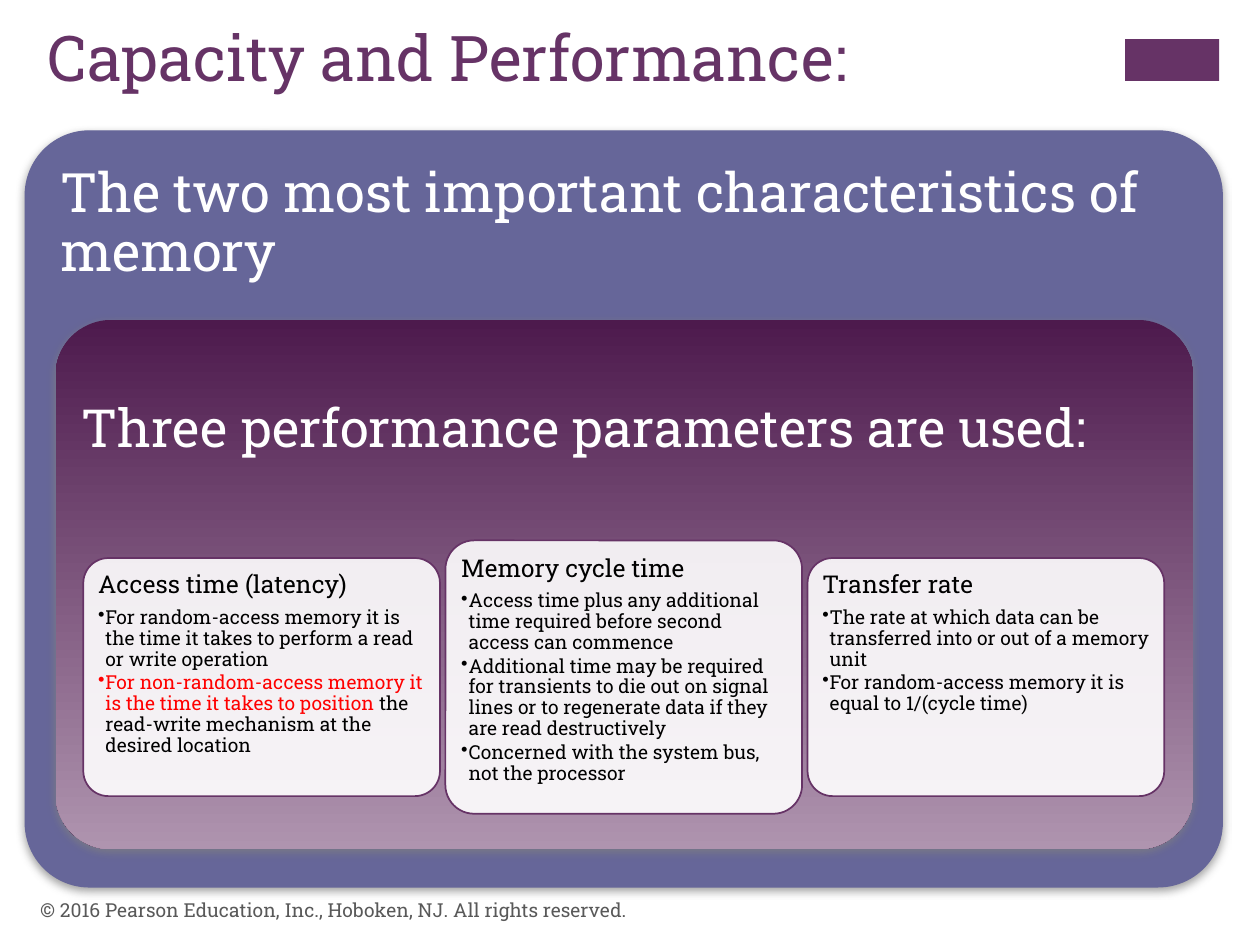
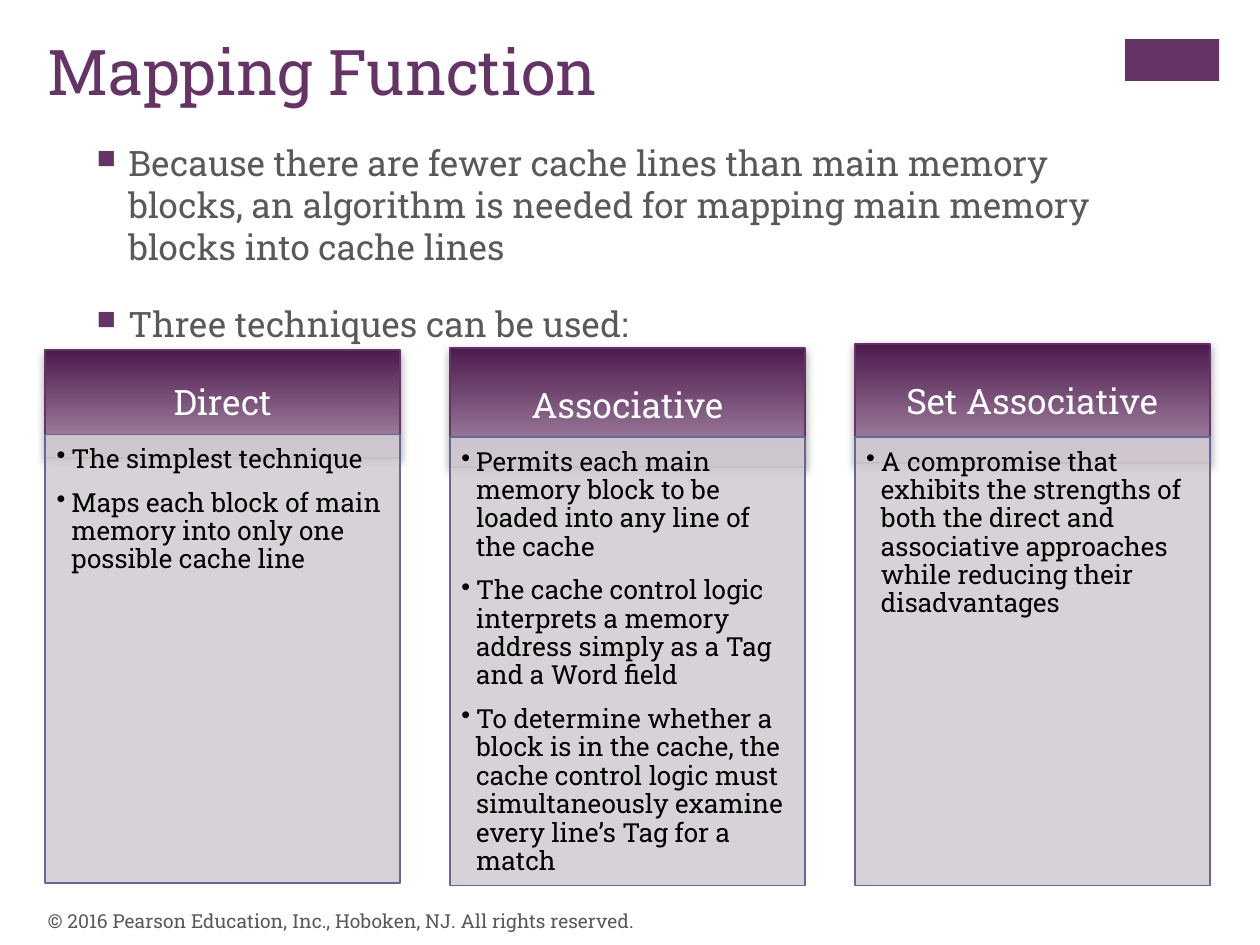
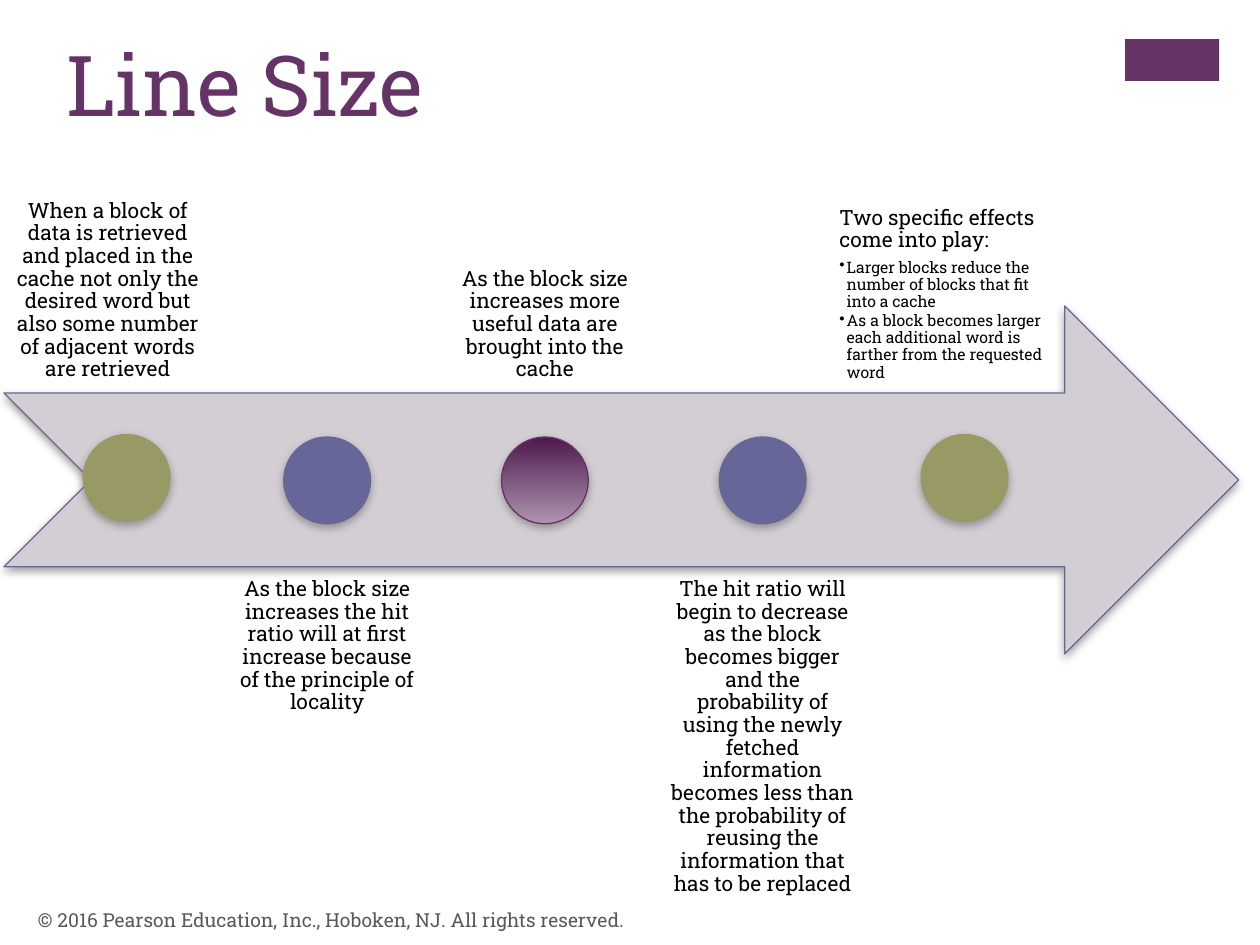
from lxml.etree import SubElement
from pptx import Presentation
from pptx.dml.color import RGBColor
from pptx.enum.shapes import MSO_SHAPE as SHAPE
from pptx.enum.text import MSO_ANCHOR as ANCHOR, PP_ALIGN as ALIGN
from pptx.oxml.ns import qn
from pptx.util import Cm, Pt

FONT = "Roboto Slab"
COLORS = {
    "plum": "663366", "dark": "4D1A4D", "mauve": "AF94AF", "slate": "666699",
    "olive": "999966", "mist": "D3CED3", "grey": "595959", "red": "FF0000",
    "white": "FFFFFF", "black": "000000",
}
GRADIENT = ("dark", "mauve")
COPYRIGHT = "© 2016 Pearson Education, Inc., Hoboken, NJ. All rights reserved."

CHARACTERISTICS = "The two most important characteristics of memory"
PARAMETERS = "Three performance parameters are used:"
CARDS = [
    ("Access time (latency)", 4.8, [
        "For random-access memory it is the time it takes to perform a read or write operation",
        [("For non-random-access memory it is the time it takes to position ", "red"),
         ("the read-write mechanism at the desired location", "black")],
    ]),
    ("Memory cycle time", 5.51, [
        "Access time plus any additional time required before second access can commence",
        "Additional time may be required for transients to die out on signal lines "
        "or to regenerate data if they are read destructively",
        "Concerned with the system bus, not the processor",
    ]),
    ("Transfer rate", 4.8, [
        "The rate at which data can be transferred into or out of a memory unit",
        "For random-access memory it is equal to 1/(cycle time)",
    ]),
]

MAPPING_POINTS = [
    "Because there are fewer cache lines than main memory blocks, an algorithm "
    "is needed for mapping main memory blocks into cache lines",
    "Three techniques can be used:",
]
TECHNIQUES = [
    ("Direct", 7.06, 2.18, 8.76, [
        "The simplest technique",
        "Maps each block of main memory into only one possible cache line",
    ]),
    ("Associative", 7.01, 2.41, 8.81, [
        "Permits each main memory block to be loaded into any line of the cache",
        "The cache control logic interprets a memory address simply as a Tag and a Word field",
        "To determine whether a block is in the cache, the cache control logic must "
        "simultaneously examine every line’s Tag for a match",
    ]),
    ("Set Associative", 6.93, 2.41, 8.81, [
        "A compromise that exhibits the strengths of both the direct and associative "
        "approaches while reducing their disadvantages",
    ]),
]

STEPS = [
    (0.08, 4.19, 1.68, 8.76, "olive",
     "When a block of data is retrieved and placed in the cache not only the desired "
     "word but also some number of adjacent words are retrieved", []),
    (4.5, 4.19, 5.72, 8.81, "slate",
     "As the block size increases the hit ratio will at first increase because of "
     "the principle of locality", []),
    (8.89, 4.19, 10.11, 8.81, GRADIENT,
     "As the block size increases more useful data are brought into the cache", []),
    (13.28, 4.19, 14.5, 8.81, "slate",
     "The hit ratio will begin to decrease as the block becomes bigger and the "
     "probability of using the newly fetched information becomes less than the "
     "probability of reusing the information that has to be replaced", []),
    (16.69, 4.8, 18.57, 8.76, "olive", "Two specific effects come into play:", [
        "Larger blocks reduce the number of blocks that fit into a cache",
        "As a block becomes larger each additional word is farther from the requested word",
    ]),
]


def rgb(name):
    return RGBColor.from_string(COLORS[name])


def add_shadow(sp):
    effects = sp._element.spPr.find(qn("a:effectLst"))
    outer = SubElement(effects, qn("a:outerShdw"), blurRad=str(Pt(5)),
                       dist=str(Pt(2)), dir="5400000", rotWithShape="0")
    clr = SubElement(outer, qn("a:srgbClr"), val="808080")
    SubElement(clr, qn("a:alpha"), val="75000")


def add_box(s, kind, at, fill, line=None, width=1, adj=None, shadow=False, opacity=100):
    sp = s.shapes.add_shape(kind, *map(Cm, at))
    sp.shadow.inherit = False
    if adj is not None:
        sp.adjustments[0] = adj
    if isinstance(fill, tuple):
        sp.fill.gradient()
        sp.fill.gradient_angle = 270
        for stop, name in zip(sp.fill.gradient_stops, fill):
            stop.color.rgb = rgb(name)
    else:
        sp.fill.solid()
        sp.fill.fore_color.rgb = rgb(fill)
        if opacity < 100:
            clr = sp._element.spPr.find(qn("a:solidFill"))[0]
            SubElement(clr, qn("a:alpha"), val=str(opacity * 1000))
    if line:
        sp.line.color.rgb = rgb(line)
        sp.line.width = Pt(width)
    else:
        sp.line.fill.background()
    if shadow:
        add_shadow(sp)
    return sp


def set_frame(sp, insets=(0.25, 0.13, 0.25, 0.13), anchor=ANCHOR.TOP):
    tf = sp.text_frame
    tf.word_wrap = True
    tf.vertical_anchor = anchor
    tf.margin_left, tf.margin_top, tf.margin_right, tf.margin_bottom = map(Cm, insets)
    return tf


def add_textbox(s, at, **frame):
    return set_frame(s.shapes.add_textbox(*map(Cm, at)), **frame)


def set_bullet(p, char, indent, color=None, size=None):
    pPr = p._p.get_or_add_pPr()
    pPr.set("marL", str(Cm(indent)))
    pPr.set("indent", str(-Cm(indent)))
    if color:
        SubElement(SubElement(pPr, qn("a:buClr")), qn("a:srgbClr"), val=COLORS[color])
    if size:
        SubElement(pPr, qn("a:buSzPct"), val=str(size * 1000))
    SubElement(pPr, qn("a:buChar"), char=char)


def write(tf, content, size, color="black", align=ALIGN.LEFT, spacing=0.9,
          before=0, after=0, bullet=None):
    first = not tf.text
    p = tf.paragraphs[0] if first else tf.add_paragraph()
    if bullet:
        set_bullet(p, *bullet)
    p.alignment = align
    p.line_spacing = spacing
    p.space_before = Pt(0 if first else before)
    p.space_after = Pt(after)
    if isinstance(content, str):
        p.text = content
        colors = [color]
    else:
        for text, _ in content:
            p.add_run().text = text
        colors = [name for _, name in content]
    for r, name in zip(p.runs, colors):
        r.font.name = FONT
        r.font.size = Pt(size)
        r.font.color.rgb = rgb(name)


def write_list(tf, items, size, indent, after):
    for item in items:
        write(tf, item, size, after=after, bullet=("•", indent))


def add_slide(prs, title, title_at, footer_at, title_size=36):
    s = prs.slides.add_slide(prs.slide_layouts[6])
    add_box(s, SHAPE.RECTANGLE, (22.68, 0.79, 1.9, 0.84), "plum")
    write(add_textbox(s, (*title_at, 20.98, 3.1)), title, title_size, "plum", spacing=1)
    footer = add_textbox(s, (*footer_at, 17.02, 1.02), anchor=ANCHOR.MIDDLE)
    write(footer, COPYRIGHT, 11, "grey", spacing=1)
    return s


def build_performance(prs):
    s = add_slide(prs, "Capacity and Performance:", (0.71, 0.25), (0.56, 17.83))
    outer = add_box(s, SHAPE.ROUNDED_RECTANGLE, (0.51, 2.64, 24.13, 15.24), "slate",
                    "slate", 0.75, adj=0.085, shadow=True)
    write(set_frame(outer, (0.33,) * 4), CHARACTERISTICS, 31, "white")
    inner = add_box(s, SHAPE.ROUNDED_RECTANGLE, (1.12, 6.45, 22.94, 10.67), GRADIENT,
                    adj=0.105, shadow=True)
    write(set_frame(inner, (0.2, 1.32, 0.2, 0.2)), PARAMETERS, 30, "white")
    left, pitch, middle = 1.68, 7.3, 13.65
    for i, (heading, height, points) in enumerate(CARDS):
        at = (left + i * pitch, middle - height / 2, 7.19, height)
        card = add_box(s, SHAPE.ROUNDED_RECTANGLE, at, "white", "plum", adj=0.105, opacity=90)
        tf = set_frame(card, (0.15,) * 4)
        write(tf, heading, 14, after=4.9)
        write_list(tf, points, 11, 0.15, 1.65)


def build_mapping(prs):
    s = add_slide(prs, "Mapping Function", (0.71, 0.53), (0.71, 18.06))
    tf = add_textbox(s, (1.7, 2.72, 20.98, 5.28))
    for point in MAPPING_POINTS:
        write(tf, point, 20, "grey", spacing=1, before=20, bullet=("■", 0.64, "plum", 75))
    left, pitch, width = 0.91, 8.16, 7.16
    for i, (name, top, height, body_top, points) in enumerate(TECHNIQUES):
        x = left + i * pitch
        head = add_box(s, SHAPE.RECTANGLE, (x, top, width, height), GRADIENT, "plum", shadow=True)
        tf = set_frame(head, (0.41, 0.23, 0.41, 0.23), ANCHOR.MIDDLE)
        write(tf, name, 20, "white", ALIGN.CENTER)
        body = add_box(s, SHAPE.RECTANGLE, (x, body_top, width, 9.04), "mist", "slate", opacity=90)
        write_list(set_frame(body, (0.23, 0.23, 0.3, 0.33)), points, 15, 0.3, 8.7)


def build_line_size(prs):
    s = add_slide(prs, "Line Size", (1.09, 0.53), (0.51, 18.03), 48)
    height, diameter = 7.01, 1.75
    add_box(s, SHAPE.NOTCHED_RIGHT_ARROW, (0.08, 6.17, 24.89, height), "mist",
            "slate", 0.75, shadow=True)
    for i, (x, width, dot_x, dot_y, fill, text, points) in enumerate(STEPS):
        above = i % 2 == 0
        tf = add_textbox(s, (x, 0.91 if above else 11.43, width, height),
                         insets=(0.23,) * 4, anchor=ANCHOR.BOTTOM if above else ANCHOR.TOP)
        write(tf, text, 12, align=ALIGN.LEFT if points else ALIGN.CENTER,
              after=4.2 if points else 0)
        write_list(tf, points, 9, 0.15, 1.35)
        add_box(s, SHAPE.OVAL, (dot_x, dot_y, diameter, diameter), fill,
                "plum" if fill == GRADIENT else fill, 0.75, shadow=True)


def main():
    prs = Presentation()
    prs.slide_width, prs.slide_height = Cm(25.4), Cm(19.05)
    build_performance(prs)
    build_mapping(prs)
    build_line_size(prs)
    prs.save("out.pptx")


if __name__ == "__main__":
    main()
